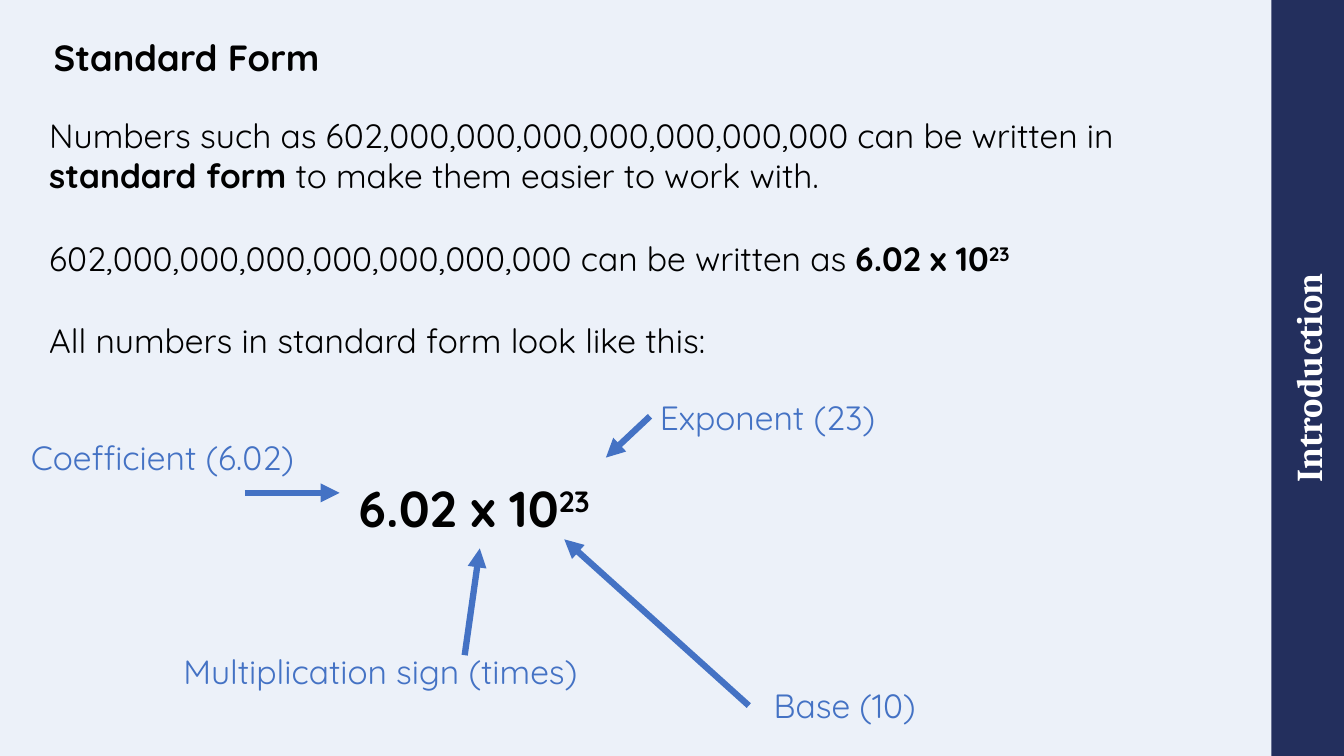
from dataclasses import dataclass

from lxml import etree
from pptx import Presentation
from pptx.dml.color import RGBColor
from pptx.enum import shapes, text
from pptx.oxml.ns import qn
from pptx.util import Cm, Pt


@dataclass(frozen=True)
class Theme:
    body_font: str = "Quicksand"
    section_font: str = "Cambria"
    paper: str = "ECF1F9"
    navy: str = "232F5D"
    blue: str = "4472C4"
    black: str = "000000"
    white: str = "FFFFFF"
    heading: int = 26
    body: int = 24
    formula: int = 36
    paragraph_gap: int = 30
    arrow: float = 4.5


THEME = Theme()
SLIDE_W, SLIDE_H = 33.87, 19.05
BAR_W = 1.83
INSET_X, INSET_Y = 0.25, 0.13

SECTION = "Introduction"
TITLE = "Standard Form"
# A run is (words, style); style is "", "bold" or "power".
FORMULA = [("6.02 x 10", "bold"), ("23", "power")]
EXPLANATION = [
    [("Numbers such as 602,000,000,000,000,000,000,000 can be written in ", ""),
     ("standard form ", "bold"),
     ("to make them easier to work with.", "")],
    [("602,000,000,000,000,000,000,000 can be written as ", ""), *FORMULA],
    [("All numbers in standard form look like this:", "")],
]
# Each part: label, (left, top, width) of its label, arrow start, arrow end (cm)
PARTS = [
    ("Coefficient (6.02)", (0.53, 10.87, 7.65), (6.17, 12.42), (8.56, 12.42)),
    ("Multiplication sign (times)", (4.37, 16.28, 10.9), (11.71, 16.51), (12.09, 13.82)),
    ("Exponent (23)", (16.38, 9.86, 6.22), (16.38, 10.49), (15.27, 11.53)),
    ("Base (10)", (19.25, 17.12, 4.29), (18.87, 17.78), (14.22, 13.59)),
]
LABEL_H = 1.27


def color(hex_code):
    return RGBColor.from_string(hex_code)


def add_run(paragraph, words, style, size, ink, font=THEME.body_font):
    run = paragraph.add_run()
    run.text = words
    run.font.name = font
    run.font.size = Pt(size)
    run.font.bold = style != ""
    run.font.color.rgb = color(ink)
    if style == "power":
        run.font._element.set("baseline", "30000")


def add_text(slide, box, paragraphs, size, ink, wrap=True, inset=(INSET_X, INSET_Y)):
    frame = slide.shapes.add_textbox(*map(Cm, box)).text_frame
    frame.word_wrap = wrap
    frame.margin_left = frame.margin_right = Cm(inset[0])
    frame.margin_top = frame.margin_bottom = Cm(inset[1])
    for index, runs in enumerate(paragraphs):
        paragraph = frame.add_paragraph() if index else frame.paragraphs[0]
        if index:
            paragraph.space_before = Pt(THEME.paragraph_gap)
        for words, style in runs:
            add_run(paragraph, words, style, size, ink)
    return frame


def add_arrow(slide, start, end):
    arrow = slide.shapes.add_connector(
        shapes.MSO_CONNECTOR.STRAIGHT, *map(Cm, (*start, *end)))
    arrow.line.color.rgb = color(THEME.blue)
    arrow.line.width = Pt(THEME.arrow)
    etree.SubElement(arrow.line._get_or_add_ln(), qn("a:tailEnd"), type="triangle")
    etree.SubElement(arrow._element.spPr, qn("a:effectLst"))


def add_section_bar(slide):
    """Draw the bar lying down, then turn it about its centre onto the right edge."""
    left = SLIDE_W - BAR_W / 2 - SLIDE_H / 2
    top = (SLIDE_H - BAR_W) / 2
    bar = slide.shapes.add_shape(
        shapes.MSO_SHAPE.RECTANGLE, *map(Cm, (left, top, SLIDE_H, BAR_W)))
    bar.rotation = 270
    bar.shadow.inherit = False
    bar.fill.solid()
    bar.fill.fore_color.rgb = color(THEME.navy)
    bar.line.fill.background()
    frame = bar.text_frame
    frame.margin_left = frame.margin_right = frame.margin_top = frame.margin_bottom = 0
    frame.vertical_anchor = text.MSO_ANCHOR.MIDDLE
    frame.paragraphs[0].alignment = text.PP_ALIGN.CENTER
    add_run(frame.paragraphs[0], SECTION, "bold", THEME.heading, THEME.white,
            THEME.section_font)


def main():
    deck = Presentation()
    deck.slide_width, deck.slide_height = Cm(SLIDE_W), Cm(SLIDE_H)
    slide = deck.slides.add_slide(deck.slide_layouts[6])
    slide.background.fill.solid()
    slide.background.fill.fore_color.rgb = color(THEME.paper)

    add_section_bar(slide)
    title = add_text(slide, (1.35, 0, 29.49, 2), [[(TITLE, "bold")]],
                     THEME.heading, THEME.black, inset=(0, 0))
    title.vertical_anchor = text.MSO_ANCHOR.BOTTOM
    title.paragraphs[0].line_spacing = 0.9
    add_text(slide, (0.99, 2.77, 30, 6.6), EXPLANATION, THEME.body, THEME.black)
    add_text(slide, (8.79, 11.89, 7, 1.85), [FORMULA], THEME.formula, THEME.black)

    for label, place, start, end in PARTS:
        add_text(slide, (*place, LABEL_H), [[(label, "")]], THEME.body, THEME.blue,
                 wrap=False)
        add_arrow(slide, start, end)

    deck.save("out.pptx")


if __name__ == "__main__":
    main()
